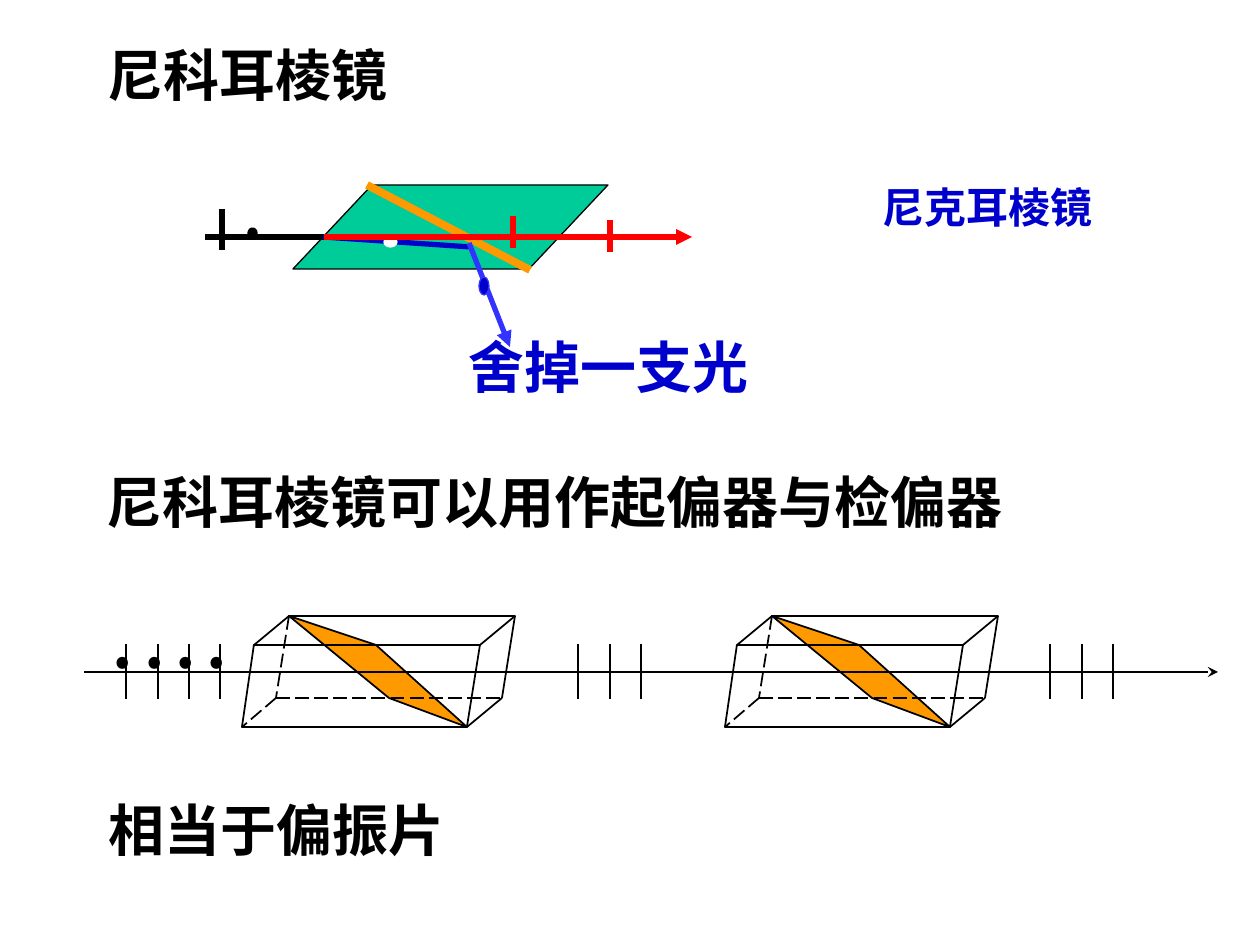
from pptx import Presentation
from pptx import util as u
from pptx.dml.color import RGBColor
from pptx.enum import dml, shapes, text
from pptx.oxml.ns import qn
from lxml import etree

EMU = 914400 / 126  # one px
SANS, SERIF = "Noto Sans CJK SC", "Times New Roman"
BLACK, BLUE, VIOLET = "000000", "0000CC", "3333FF"
ORANGE, GREEN, RED, WHITE = "FF9900", "00CC99", "FF0000", "FFFFFF"
rgb = RGBColor.from_string

prs = Presentation()
prs.slide_width, prs.slide_height = round(1260 * EMU), round(945 * EMU)
s = prs.slides.add_slide(prs.slide_layouts[5])


def line(p, q, color=BLACK, width=1, dash=None, tail=None):
    cx = s.shapes.add_connector(shapes.MSO_CONNECTOR.STRAIGHT, *[round(v * EMU) for v in (*p, *q)])
    cx.line.color.rgb = rgb(color)
    cx.line.width = u.Pt(width)
    if dash:
        cx.line.dash_style = dash
    if tail:
        etree.SubElement(cx.line._get_or_add_ln(), qn("a:tailEnd"), type=tail)
    etree.SubElement(cx._element.spPr, qn("a:effectLst"))


def paint(sp, fill, color=BLACK, width=1):
    sp.shadow.inherit = False
    if fill:
        sp.fill.solid()
        sp.fill.fore_color.rgb = rgb(fill)
    else:
        sp.fill.background()
    sp.line.color.rgb = rgb(color)
    sp.line.width = u.Pt(width)


# Two prisms: front and back corners, left to right and top to bottom
for dx in (0, 483):
    f_tl, f_tr, f_bl, f_br = [(x + dx, y) for x, y in ((254, 645), (480, 645), (242, 727), (467, 727))]
    b_tl, b_tr, b_bl, b_br = [(x + dx, y) for x, y in ((289, 616), (515, 616), (276, 698), (502, 698))]
    cut = [b_tl, (376 + dx, 645), f_br, (389 + dx, 698)]
    faces = [(cut, ORANGE), ([b_tl, f_tl, f_tr, b_tr], None), ([f_bl, f_br, f_tr, f_tl], None)]
    for points, fill in faces:
        fb = s.shapes.build_freeform(*points[0], scale=EMU)
        fb.add_line_segments(points[1:], close=True)
        paint(fb.convert_to_shape(), fill)
    for p, q in ((b_bl, b_br), (f_bl, f_br), (b_tl, b_bl), (b_bl, f_bl)):
        line(p, q, dash=dml.MSO_LINE.LONG_DASH)
    for p, q in ((f_br, b_br), (b_tr, b_br)):
        line(p, q)

# Axis with polarization ticks
line((84, 672), (1218, 672), tail="stealth")
for left, count in ((126, 4), (578, 3), (1050, 3)):
    for i in range(count):
        x = round(left + 31.5 * i)
        line((x, 644), (x, 699))

# Nicol prism with its cement layer
sp = s.shapes.add_shape(shapes.MSO_SHAPE.PARALLELOGRAM, *[round(v * EMU) for v in (293, 185, 315, 84)])
sp.adjustments[0] = 0.94
paint(sp, GREEN, BLACK, 0.75)
line((367, 185), (530, 270), ORANGE, 4.5)

# Incoming, refracted, rejected and transmitted rays
line((205, 237), (324, 237), width=3)
line((222, 209), (222, 250), width=3)
line((323, 237), (471, 247), BLUE, 3)
line((469, 243), (510, 347), VIOLET, 3, tail="triangle")
for box, fill, color, width in (
    ((250, 230, 5, 6), BLACK, BLACK, 3),
    ((384, 237, 13, 10), WHITE, WHITE, 0.75),
    ((479, 277, 10, 18), BLUE, VIOLET, 0.75),
):
    sp = s.shapes.add_shape(shapes.MSO_SHAPE.OVAL, *[round(v * EMU) for v in box])
    paint(sp, fill, color, width)
line((324, 237), (692, 237), RED, 3, tail="triangle")
line((513, 216), (513, 248), RED, 3)
line((610, 220), (610, 252), RED, 3)

# Title, captions and the dots on the axis
texts = [
    ("尼科耳棱镜", (95, 35, 306, 79), 32, SANS, BLACK),
    ("舍掉一支光", (456, 326, 392, 81), 32, SERIF, BLUE),
    ("尼克耳棱镜", (870, 175, 234, 63), 24, SERIF, BLUE),
    ("尼科耳棱镜可以用作起偏器与检偏器", (94, 462, 922, 79), 32, SANS, BLACK),
    ("相当于偏振片", (96, 790, 362, 79), 32, SANS, BLACK),
]
texts += [(".", (round(100 + 31.5 * i), 599, 63, 88), 36, SANS, BLACK) for i in range(4)]
for i, (words, box, size, font, color) in enumerate(texts):
    sp = s.shapes.title if i == 0 else s.shapes.add_textbox(0, 0, 0, 0)
    sp.left, sp.top, sp.width, sp.height = [round(v * EMU) for v in box]
    tf = sp.text_frame
    frame = {"word_wrap": words == ".", "auto_size": text.MSO_AUTO_SIZE.NONE,
             "vertical_anchor": text.MSO_ANCHOR.MIDDLE}
    for key, value in frame.items():
        setattr(tf, key, value)
    p = tf.paragraphs[0]
    p.alignment = text.PP_ALIGN.LEFT
    r = p.add_run()
    r.text = words
    for key, value in {"size": u.Pt(size), "bold": True, "name": font}.items():
        setattr(r.font, key, value)
    r.font.color.rgb = rgb(color)
    etree.SubElement(r.font._element, qn("a:ea"), typeface=SANS)

prs.save("out.pptx")
